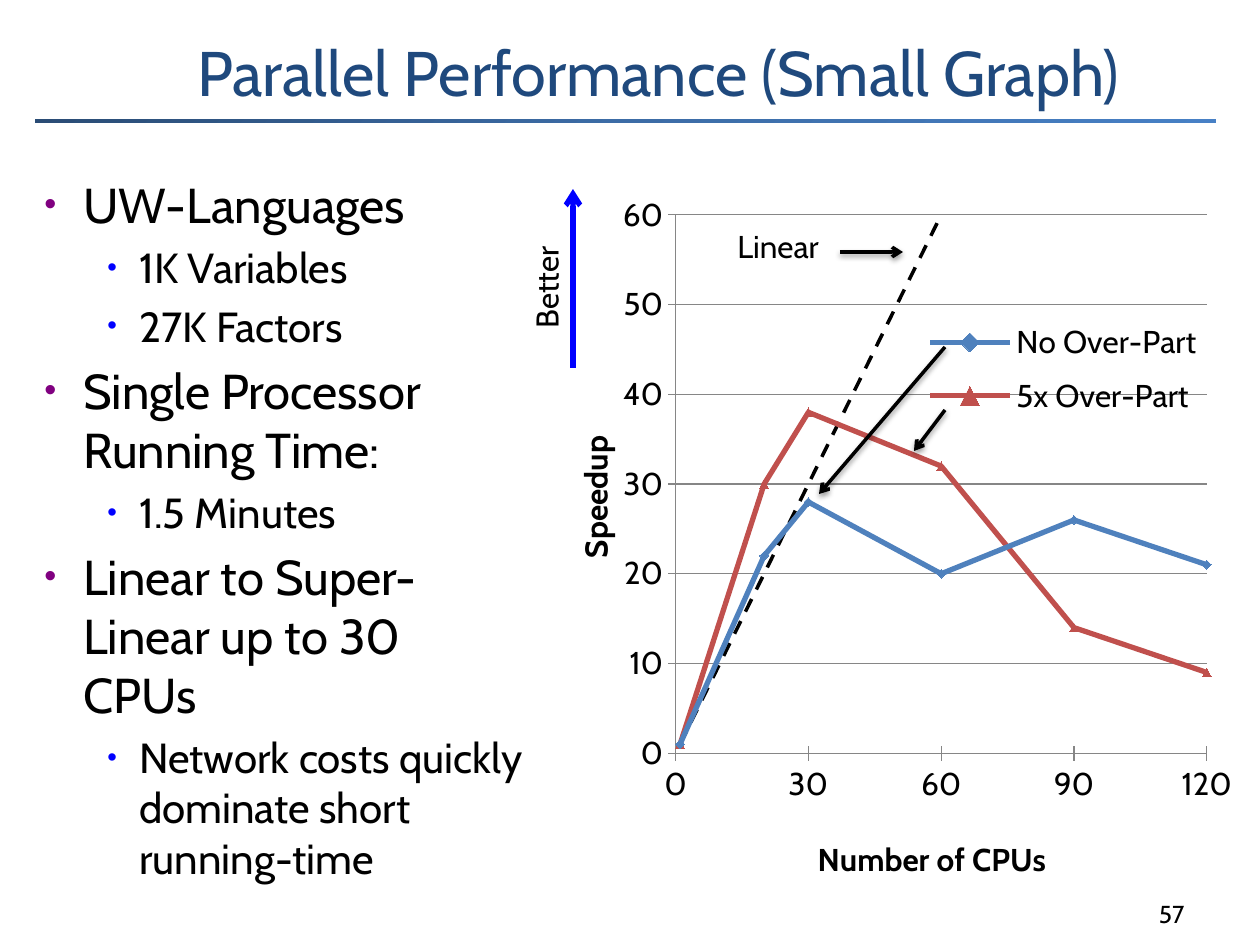
from copy import deepcopy

from lxml import etree
from pptx import Presentation
from pptx.chart.data import XyChartData
from pptx.dml.color import RGBColor
from pptx.enum.chart import XL_CHART_TYPE, XL_LEGEND_POSITION, XL_MARKER_STYLE, XL_TICK_MARK
from pptx.enum.dml import MSO_LINE
from pptx.enum.shapes import MSO_CONNECTOR, MSO_SHAPE
from pptx.enum.text import MSO_ANCHOR, PP_ALIGN
from pptx.oxml.ns import qn
from pptx.util import Emu, Pt

SCATTER = XL_CHART_TYPE.XY_SCATTER_LINES
LEGEND_RIGHT = XL_LEGEND_POSITION.RIGHT
DIAMOND, TRIANGLE, NO_MARKER = (
    XL_MARKER_STYLE.DIAMOND, XL_MARKER_STYLE.TRIANGLE, XL_MARKER_STYLE.NONE)
CROSS = XL_TICK_MARK.CROSS
DASH = MSO_LINE.DASH
STRAIGHT = MSO_CONNECTOR.STRAIGHT
RECTANGLE = MSO_SHAPE.RECTANGLE
TOP, BOTTOM = MSO_ANCHOR.TOP, MSO_ANCHOR.BOTTOM
LEFT, RIGHT = PP_ALIGN.LEFT, PP_ALIGN.RIGHT

BLACK = RGBColor(0, 0, 0)
WHITE = RGBColor(255, 255, 255)
NAVY = RGBColor(0x1F, 0x49, 0x7D)
ARROW_BLUE = RGBColor(0, 0, 255)
GRAY = RGBColor(0x86, 0x86, 0x86)
SERIES_BLUE = RGBColor(0x4F, 0x81, 0xBD)
SERIES_RED = RGBColor(0xC0, 0x50, 0x4D)
RULE_COLORS = (RGBColor(0x2A, 0x4C, 0x75), RGBColor(0x3C, 0x6C, 0xA6), RGBColor(0x47, 0x80, 0xC5))

FONT = "Cabin"
LEVELS = (
    {"size": 28, "before": 5.6, "margin": 39, "indent": -39, "bullet": "800080", "percent": 70},
    {"size": 24, "before": 4.8, "margin": 95, "indent": -32, "bullet": "0000FF", "percent": 65},
)
POINTS = (
    (0, "UW-Languages"),
    (1, "1K Variables"),
    (1, "27K Factors"),
    (0, "Single Processor Running Time:"),
    (1, "1.5 Minutes"),
    (0, "Linear to Super-Linear up to 30 CPUs"),
    (1, "Network costs quickly dominate short running-time"),
)
CPUS = (1, 20, 30, 60, 90, 120)
SERIES = (
    ("No Over-Part", (1, 22, 28, 20, 26, 21), SERIES_BLUE, 3, DIAMOND),
    ("5x Over-Part", (1, 30, 38, 32, 14, 9), SERIES_RED, 3, TRIANGLE),
    ("Series 3", CPUS, BLACK, 2, NO_MARKER),
)


def px(length):
    """Turn whole px into EMU at 126 px to the inch."""
    return Emu(round(length * 914400 / 126))


def frame(*lengths):
    """Turn left, top, width and height into EMU."""
    return [px(length) for length in lengths]


def style(target, **values):
    """Set every given format value on the target."""
    for name, value in values.items():
        setattr(target, name, value)


def style_font(font, size, color=BLACK, **values):
    """Give a font the deck's face, with a size and colour."""
    style(font, name=FONT, size=Pt(size), **values)
    font.color.rgb = color


def add_child(parent, tag, **attributes):
    """Append an XML element with attributes."""
    return etree.SubElement(parent, qn(tag), attributes)


def add_title(page, text):
    """Place and format the title placeholder."""
    title = page.shapes.title
    style(title, **dict(zip(("left", "top", "width", "height"), frame(185, 10, 1033, 105))))
    style(title.text_frame, text=text, vertical_anchor=BOTTOM)
    para = title.text_frame.paragraphs[0]
    para.alignment = LEFT
    style_font(para.font, 36, NAVY)


def add_rule(page):
    """Draw the gradient bar under the title."""
    bar = page.shapes.add_shape(RECTANGLE, *frame(32, 116, 1187, 10))
    bar.shadow.inherit = False
    bar.fill.gradient()
    bar.fill.gradient_angle = 315
    stop_list = next(bar._element.spPr.iter(qn("a:gsLst")))
    stop_list.insert(1, deepcopy(stop_list[0]))
    for index, (stop, color) in enumerate(zip(bar.fill.gradient_stops, RULE_COLORS)):
        stop.position = index / 2
        stop.color.rgb = color
    bar.line.color.rgb = WHITE
    bar.line.width = Pt(3)


def add_label(shapes, place, text, size, anchor=TOP, align=LEFT, wrap=True, rotation=0):
    """Add a one-line text box."""
    box = shapes.add_textbox(*frame(*place))
    box.rotation = rotation
    style(box.text_frame, text=text, word_wrap=wrap, vertical_anchor=anchor)
    para = box.text_frame.paragraphs[0]
    para.alignment = align
    style_font(para.font, size)


def add_bullets(page):
    """Add the two-level bullet list."""
    box = page.shapes.add_textbox(*frame(32, 168, 504, 708))
    box.text_frame.word_wrap = True
    for index, (level, text) in enumerate(POINTS):
        look = LEVELS[level]
        para = box.text_frame.add_paragraph() if index else box.text_frame.paragraphs[0]
        style(para, text=text, level=level, space_before=Pt(look["before"] if index else 0))
        props = para._p.get_or_add_pPr()
        props.set("marL", str(px(look["margin"])))
        props.set("indent", str(px(look["indent"])))
        add_child(add_child(props, "a:buClr"), "a:srgbClr", val=look["bullet"])
        add_child(props, "a:buSzPct", val=str(look["percent"] * 1000))
        add_child(props, "a:buFont", typeface="Arial")
        add_child(props, "a:buChar", char="•")
        style_font(para.font, look["size"])


def add_arrow(shapes, start, end, color=BLACK, width=2, shadow=True):
    """Draw a straight arrow, with a soft shadow if wanted."""
    arrow = shapes.add_connector(STRAIGHT, *frame(*start, *end))
    arrow.line.color.rgb = color
    arrow.line.width = Pt(width)
    add_child(arrow.line._get_or_add_ln(), "a:tailEnd", type="arrow")
    effects = add_child(arrow._element.spPr, "a:effectLst")
    if shadow:
        cast = add_child(effects, "a:outerShdw", blurRad="40000", dist="20000",
                         dir="5400000", rotWithShape="0")
        add_child(add_child(cast, "a:srgbClr", val="000000"), "a:alpha", val="38000")


def set_layout(element, inner=False, **fractions):
    """Fix a chart part at fractions of the chart's size."""
    for old in element.findall(qn("c:layout")):
        element.remove(old)
    layout = etree.Element(qn("c:layout"))
    manual = add_child(layout, "c:manualLayout")
    if inner:
        add_child(manual, "c:layoutTarget", val="inner")
    for name in ("x", "y"):
        add_child(manual, f"c:{name}Mode", val="edge")
    for name, value in fractions.items():
        add_child(manual, f"c:{name}", val=str(value))
    overlay = element.find(qn("c:overlay"))
    element.insert(0 if overlay is None else element.index(overlay), layout)


def format_axis(axis, title, top, step, rotation, **place):
    """Set an axis's scale, line, ticks and title."""
    style(axis, minimum_scale=0, maximum_scale=top, major_unit=step,
          major_tick_mark=CROSS, has_major_gridlines=False)
    axis.format.line.color.rgb = GRAY
    style_font(axis.tick_labels.font, 18)
    text_frame = axis.axis_title.text_frame
    text_frame.text = title
    text_frame._txBody.bodyPr.set("rot", str(rotation))
    style_font(text_frame.paragraphs[0].runs[0].font, 18, bold=True)
    set_layout(axis.axis_title._element, **place)


def format_legend(chart):
    """Lay the legend over the plot and hide the linear series in it."""
    chart.has_legend = True
    legend = chart.legend
    style(legend, position=LEGEND_RIGHT, include_in_layout=True)
    style_font(legend.font, 18)
    element = legend._element
    entry = etree.Element(qn("c:legendEntry"))
    add_child(entry, "c:idx", val="2")
    add_child(entry, "c:delete", val="1")
    element.insert(1, entry)
    set_layout(element, x=0.54, y=0.18, w=0.4, h=0.17)


def add_speedup_chart(page):
    """Add the scatter chart of speedup against CPUs."""
    data = XyChartData()
    for name, speedups, *_ in SERIES:
        series = data.add_series(name)
        for cpus, speedup in zip(CPUS, speedups):
            series.add_data_point(cpus, speedup)
    chart = page.shapes.add_chart(SCATTER, *frame(532, 179, 718, 718), data).chart
    chart.has_title = False
    style_font(chart.font, 18)
    chart.plots[0].vary_by_categories = False
    for series, (_, _, color, width, marker) in zip(chart.plots[0].series, SERIES):
        series.smooth = False
        series.format.line.color.rgb = color
        series.format.line.width = Pt(width)
        series.marker.style = marker
        if marker == NO_MARKER:
            series.format.line.dash_style = DASH
        else:
            series.marker.format.fill.solid()
            series.marker.format.fill.fore_color.rgb = color
            series.marker.format.line.color.rgb = color
    format_axis(chart.category_axis, "Number of CPUs", 120, 30, 0, x=0.39, y=0.91)
    format_axis(chart.value_axis, "Speedup", 60, 10, -5400000, x=0.05, y=0.35)
    chart.value_axis.has_major_gridlines = True
    chart.value_axis.major_gridlines.format.line.color.rgb = GRAY
    format_legend(chart)
    plot_area = next(chart._chartSpace.iter(qn("c:plotArea")))
    set_layout(plot_area, inner=True, x=0.2, y=0.05, w=0.74, h=0.75)


def main():
    """Build and save the slide."""
    deck = Presentation()
    style(deck, slide_width=px(1260), slide_height=px(945))
    page = deck.slides.add_slide(deck.slide_layouts[5])
    add_rule(page)
    add_title(page, "Parallel Performance (Small Graph)")
    add_bullets(page)
    add_label(page.shapes, (935, 872, 262, 63), "57", 14, BOTTOM, RIGHT)
    add_speedup_chart(page)
    add_label(page.shapes, (725, 221, 110, 50), "Linear", 18)
    add_arrow(page.shapes, (840, 252), (903, 252))
    better = page.shapes.add_group_shape().shapes
    add_arrow(better, (573, 368), (573, 189), ARROW_BLUE, 3, shadow=False)
    add_label(better, (491, 261, 110, 50), "Better", 18, wrap=False, rotation=270)
    add_arrow(page.shapes, (945, 410), (914, 451))
    add_arrow(page.shapes, (945, 347), (819, 494))
    deck.save("out.pptx")


if __name__ == "__main__":
    main()
